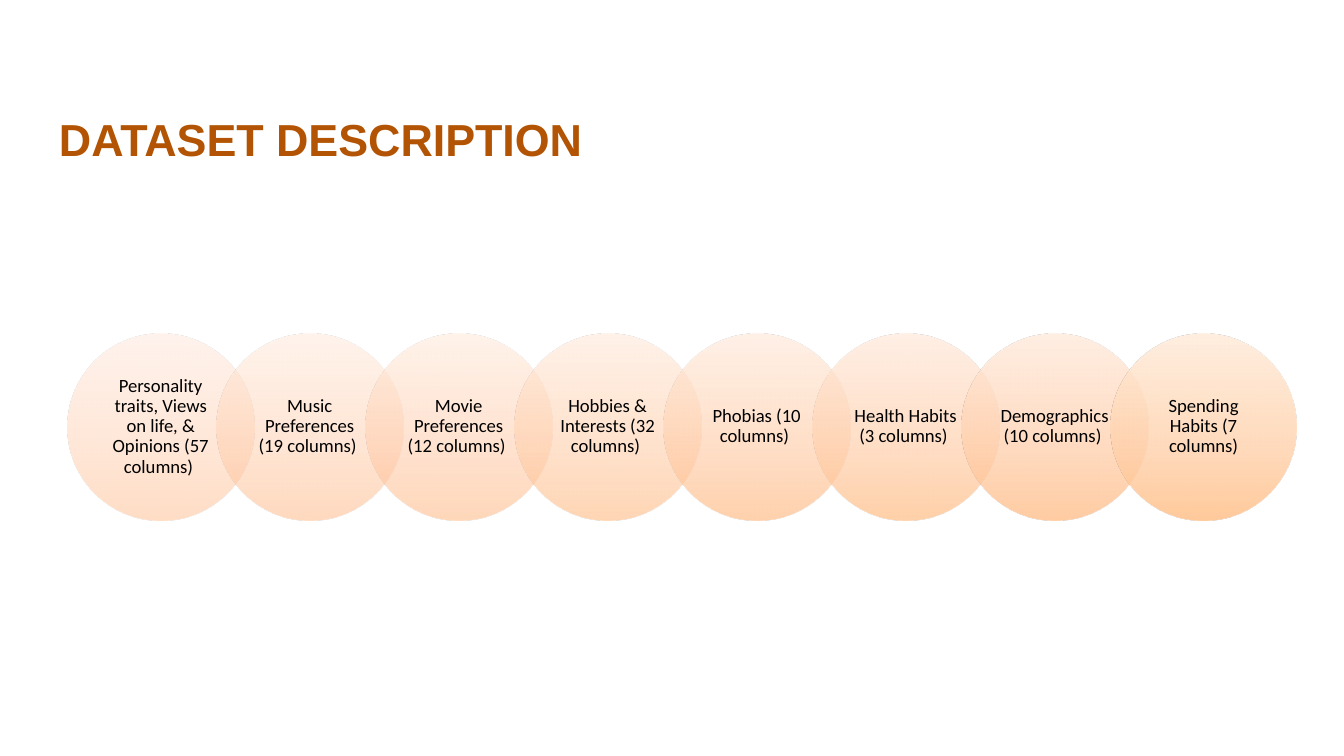
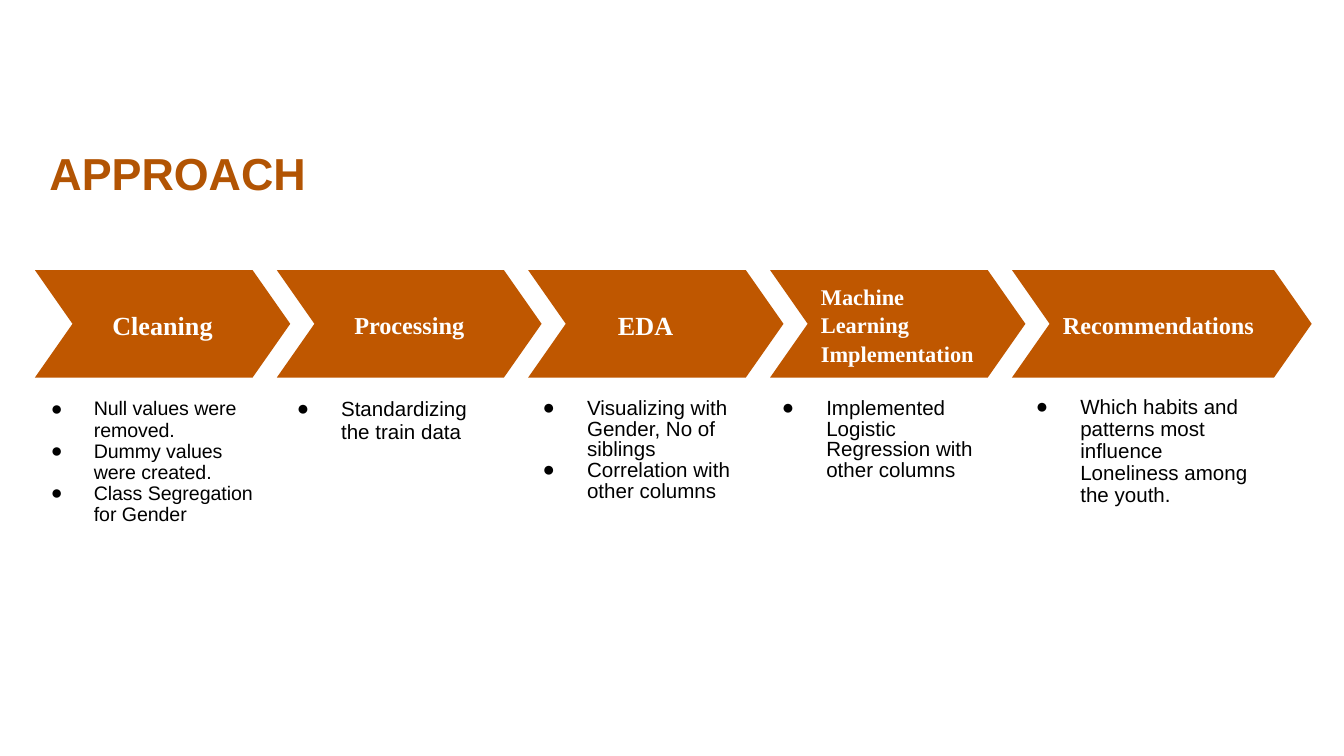
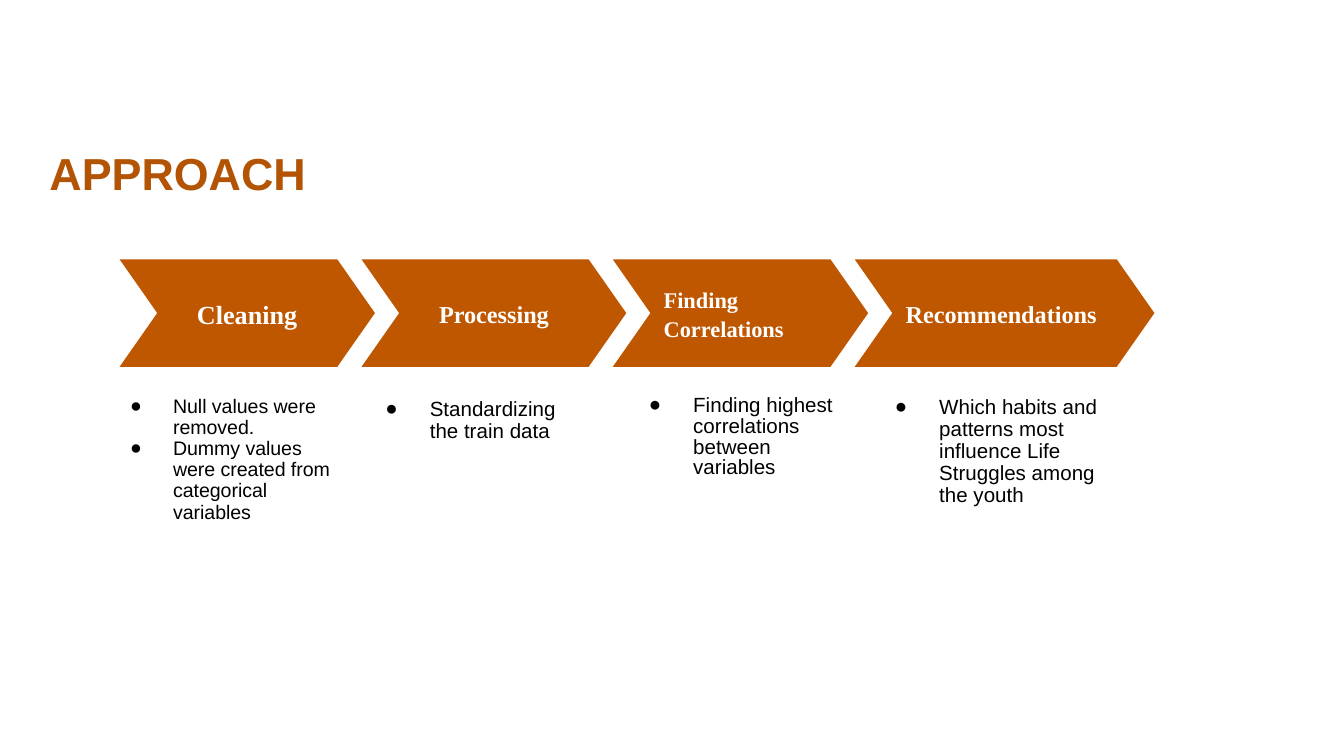
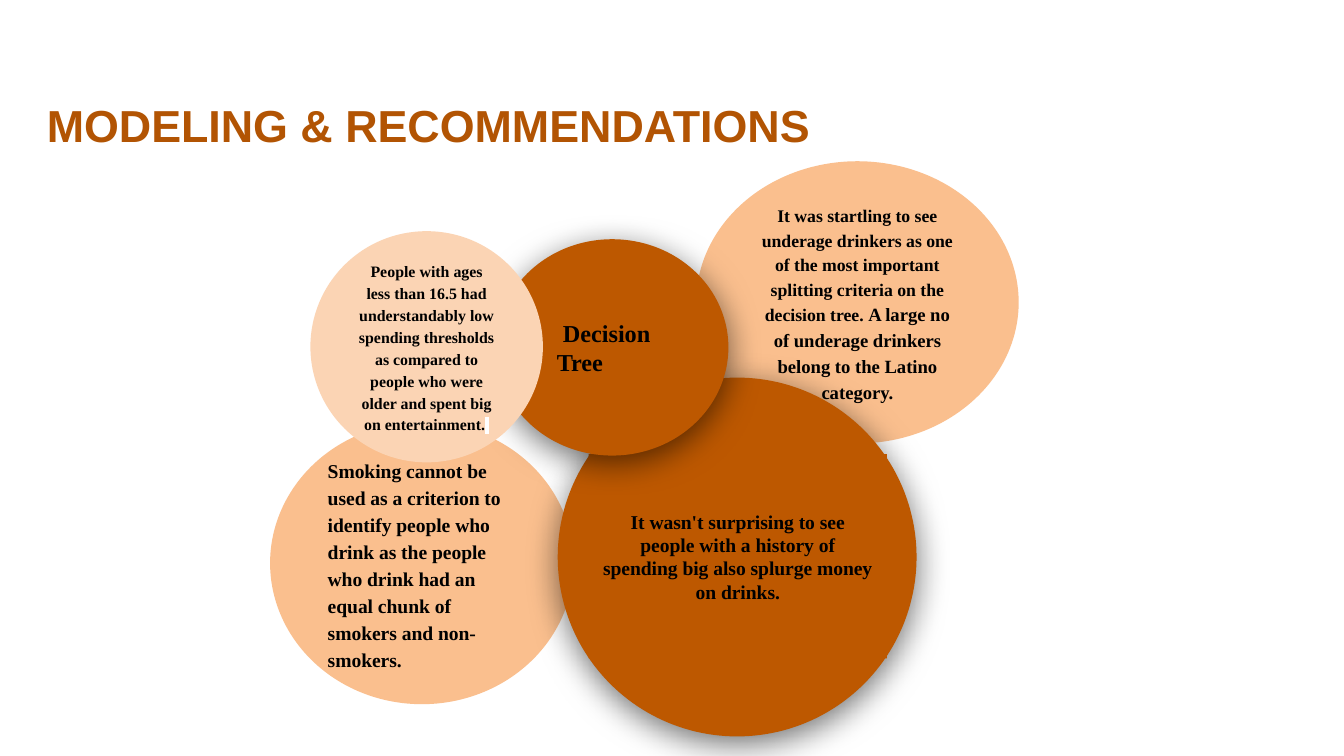
import dataclasses

import lxml.etree
import pptx
import pptx.dml.color
import pptx.enum.shapes
import pptx.enum.text
import pptx.oxml.ns
import pptx.util

Inches = pptx.util.Inches
Pt = pptx.util.Pt
qn = pptx.oxml.ns.qn
Shape = pptx.enum.shapes.MSO_SHAPE
Align = pptx.enum.text.PP_ALIGN
Anchor = pptx.enum.text.MSO_ANCHOR


@dataclasses.dataclass(frozen=True)
class Theme:
    title: str = "B25403"
    arrow: str = "BF5700"
    rust: str = "BD5800"
    peach: str = "FABF8E"
    cream: str = "FBD4B4"
    black: str = "000000"
    white: str = "FFFFFF"
    sans: str = "Arial"
    serif: str = "Times New Roman"
    label: str = "Calibri"
    title_size: float = 24
    label_size: float = 10
    list_size: float = 11
    small_size: float = 10.5


THEME = Theme()
PAD = (0.1, 0.1, 0.1, 0.1)
FLAT = (0.1, 0.05, 0.1, 0.05)


def node(parent, tag, **attrs):
    child = lxml.etree.SubElement(parent, qn(tag))
    for name, value in attrs.items():
        child.set(name, str(value))
    return child


def frame(shape, pad, anchor):
    text = shape.text_frame
    text.word_wrap = True
    text.vertical_anchor = anchor
    text.margin_left, text.margin_top, text.margin_right, text.margin_bottom = map(Inches, pad)
    return text


def style(run, font, size, color, bold=False):
    run.font.name = font
    run.font.size = Pt(size)
    run.font.bold = bold
    run.font.color.rgb = pptx.dml.color.RGBColor.from_string(color)


def write(shape, text, font, size, color, bold=False, pad=PAD, align=Align.LEFT,
          lines=1.0, after=0, anchor=Anchor.MIDDLE):
    """Fill a shape with one paragraph and return that paragraph."""
    para = frame(shape, pad, anchor).paragraphs[0]
    para.text = text
    para.alignment = align
    para.line_spacing = lines
    para.space_after = Pt(after)
    style(para.runs[0], font, size, color, bold)
    return para


def text_box(slide, box):
    return slide.shapes.add_textbox(*map(Inches, box))


def draw(slide, kind, box, fill):
    shape = slide.shapes.add_shape(kind, *map(Inches, box))
    shape.shadow.inherit = False
    shape.line.fill.background()
    shape.fill.solid()
    shape.fill.fore_color.rgb = pptx.dml.color.RGBColor.from_string(fill)
    return shape


def fade(shape, colors, alpha):
    """Swap the solid fill for an upward gradient of equal opacity."""
    solid = shape._element.spPr.find(qn("a:solidFill"))
    grad = lxml.etree.Element(qn("a:gradFill"), rotWithShape="1")
    stops = node(grad, "a:gsLst")
    for place, color in zip((0, 35, 100), colors):
        stop = node(stops, "a:gs", pos=place * 1000)
        node(node(stop, "a:srgbClr", val=color), "a:alpha", val=alpha * 1000)
    node(grad, "a:lin", ang=270 * 60000, scaled=0)
    solid.getparent().replace(solid, grad)


def cast(shape):
    """Give the shape a soft shadow below it."""
    effects = shape._element.spPr.find(qn("a:effectLst"))
    shade = node(effects, "a:outerShdw", blurRad=Pt(18), dist=Pt(4),
                 dir=90 * 60000, rotWithShape=0)
    node(node(shade, "a:srgbClr", val=THEME.black), "a:alpha", val=55000)


def title(slide, text, left, top):
    write(text_box(slide, (left, top, 9, 0.77)), text, THEME.sans,
          THEME.title_size, THEME.title, bold=True, pad=FLAT)


def bullets(slide, box, items, size, lines):
    text = frame(text_box(slide, box), FLAT, Anchor.TOP)
    text.text = "\n".join(items)
    hang = 0.32 if size < THEME.list_size else 0.33
    for para in text.paragraphs:
        para.line_spacing = lines
        style(para.runs[0], THEME.sans, size, THEME.black)
        props = para._p.get_or_add_pPr()
        props.set("marL", str(Inches(0.5)))
        props.set("indent", str(-Inches(hang)))
        node(node(props, "a:buClr"), "a:srgbClr", val=THEME.black)
        node(props, "a:buFont", typeface=THEME.sans)
        node(props, "a:buChar", char="●")


def arrows(slide, left, top, steps):
    """Lay chevrons in a row; a step is (text, size, width, align, indent)."""
    lap = 0.1
    for text, size, width, align, indent in steps:
        shape = draw(slide, Shape.CHEVRON, (left, top, width, 0.8), THEME.arrow)
        shape.adjustments[0] = 0.35
        para = write(shape, text, THEME.serif, size, THEME.white, bold=True,
                     align=align, lines=1.06)
        para._p.get_or_add_pPr().set("marL", str(Inches(indent)))
        left += width - lap


def chain(slide, box, items):
    """Spread overlapping circles evenly across the box."""
    left, top, width, side = box
    step = (width - side) / (len(items) - 1)
    inset = 0.2
    inner = side - 2 * inset
    for i, (text, *colors) in enumerate(items):
        x = left + i * step
        disc = draw(slide, Shape.OVAL, (x, top, side, side), THEME.cream)
        fade(disc, colors, 50 + 30 * i // (len(items) - 1))
        write(text_box(slide, (x + inset, top + inset, inner, inner)), text,
              THEME.label, THEME.label_size, THEME.black,
              pad=(0.08, 0.01, 0.08, 0.01), align=Align.CENTER, lines=0.9)


def bubble(slide, box, fill, text, size, **look):
    shape = draw(slide, Shape.OVAL, box, fill)
    return shape, write(shape, text, THEME.serif, size, THEME.black, bold=True, **look)


def add_run(para, text, size):
    run = para.add_run()
    run.text = text
    style(run, THEME.serif, size, THEME.black, bold=True)
    return run


def mark(run, color):
    """Highlight the run."""
    light = lxml.etree.Element(qn("a:highlight"))
    node(light, "a:srgbClr", val=color)
    run._r.rPr.find(qn("a:solidFill")).addnext(light)


def data_slide(slide):
    title(slide, "DATASET DESCRIPTION", 0.34, 0.65)
    chain(slide, (0.5, 2.48, 9.15, 1.39), [
        ("Personality traits, Views on life, & Opinions (57 columns) ", "FFBC8C", "FFCFAE", "FFE8DD"),
        ("Music Preferences (19 columns) ", "FFBA8A", "FFCEAD", "FFEBDD"),
        ("Movie Preferences (12 columns) ", "FFBC89", "FFCCAB", "FFEBDD"),
        ("Hobbies & Interests (32 columns) ", "FFBE88", "FFCFAB", "FFEADC"),
        ("Phobias (10 columns) ", "FFBB85", "FFCEAA", "FFEADC"),
        ("Health Habits (3 columns) ", "FFBE85", "FFCFAB", "FFE9DB"),
        ("Demographics (10 columns) ", "FFBB85", "FFCEA9", "FFE9DB"),
        ("Spending Habits (7 columns)", "FFBD83", "FFD0A9", "FFEBD9"),
    ])


CLEAN = ("Cleaning", 14, 1.9, Align.CENTER, 0)
PROCESS = ("Processing", 13, 1.97, Align.CENTER, 0)
ADVISE = ("Recommendations", 13, 2.23, Align.LEFT, 0)


def plan_slide(slide, left, top, middle, notes):
    """Show the steps, with the middle ones given, over their notes."""
    arrows(slide, left, top, [CLEAN, PROCESS, *middle, ADVISE])
    for box, size, lines, items in notes:
        bullets(slide, box, items, size, lines)
    title(slide, "APPROACH", 0.27, 0.9)


def gender_slide(slide):
    plan_slide(slide, 0.26, 2.01, [
        ("EDA", 14, 1.9, Align.LEFT, 0.29),
        ("Machine Learning Implementation", 12, 1.9, Align.LEFT, 0),
    ], [
        ((0.1, 2.92, 2, 1.6), THEME.small_size, 0.9,
         ["Null values were removed.", "Dummy values were created.",
          "Class Segregation for Gender"]),
        ((1.94, 2.92, 1.83, 0.69), THEME.list_size, 0.9,
         ["Standardizing the train data"]),
        ((3.77, 2.92, 1.83, 0.88), THEME.list_size, 0.84,
         ["Visualizing with Gender, No of siblings", "Correlation with other columns"]),
        ((5.55, 2.92, 1.83, 0.72), THEME.list_size, 0.84,
         ["Implemented Logistic Regression with other columns"]),
        ((7.44, 2.9, 2, 1.2), THEME.list_size, 0.9,
         ["Which habits and patterns most influence Loneliness among the youth."]),
    ])


def struggle_slide(slide):
    plan_slide(slide, 0.89, 1.93, [
        ("Finding Correlations", 12, 1.9, Align.LEFT, 0),
    ], [
        ((0.69, 2.9, 2, 1.06), THEME.small_size, 0.9,
         ["Null values were removed.",
          "Dummy values were created from categorical variables"]),
        ((2.6, 2.92, 1.83, 0.43), THEME.list_size, 0.9,
         ["Standardizing the train data"]),
        ((4.56, 2.9, 1.83, 0.72), THEME.list_size, 0.84,
         ["Finding highest correlations between variables"]),
        ((6.39, 2.9, 2, 0.93), THEME.list_size, 0.9,
         ["Which habits and patterns most influence Life Struggles among the youth"]),
    ])


def model_slide(slide):
    loose = dict(lines=1.15, after=7)
    bubble(slide, (2.01, 3.14, 2.26, 2.1), THEME.peach,
           "Smoking cannot be used as a criterion to identify people who drink as the "
           "people who drink had an equal chunk of smokers and non-smokers.",
           THEME.small_size, **loose)
    _, para = bubble(slide, (5.18, 1.2, 2.4, 2.1), THEME.peach,
                     "It was startling to see underage drinkers as one of the most "
                     "important splitting criteria on the decision tree. ",
                     9.5, align=Align.CENTER, **loose)
    add_run(para, "A large no of underage drinkers belong to the Latino category.", 10)

    cast(draw(slide, Shape.OVAL, (4.15, 2.81, 2.67, 2.67), THEME.rust))
    panel = draw(slide, Shape.RECTANGLE, (4.38, 3.38, 2.22, 1.52), THEME.rust)
    write(panel, "It wasn't surprising to see people with a history of spending big "
          "also splurge money on drinks.", THEME.serif, THEME.small_size,
          THEME.black, bold=True, align=Align.CENTER)

    tree, _ = bubble(slide, (3.69, 1.78, 1.73, 1.61), THEME.rust, " Decision Tree",
                     13, pad=(0.2, 0.1, 0, 0.1))
    cast(tree)
    _, para = bubble(slide, (2.31, 1.72, 1.73, 1.72), THEME.cream,
                     "People with ages less than 16.5 had understandably low spending "
                     "thresholds as compared to people who were older and spent big on "
                     "entertainment.", 8.5, align=Align.CENTER, **loose)
    mark(add_run(para, " ", 8.5), THEME.white)
    title(slide, "MODELING & RECOMMENDATIONS", 0.25, 0.54)


def main():
    deck = pptx.Presentation()
    deck.slide_width = Inches(10)
    deck.slide_height = deck.slide_width * 9 // 16
    for build in (data_slide, gender_slide, struggle_slide, model_slide):
        build(deck.slides.add_slide(deck.slide_layouts[6]))
    deck.save("out.pptx")


if __name__ == "__main__":
    main()
